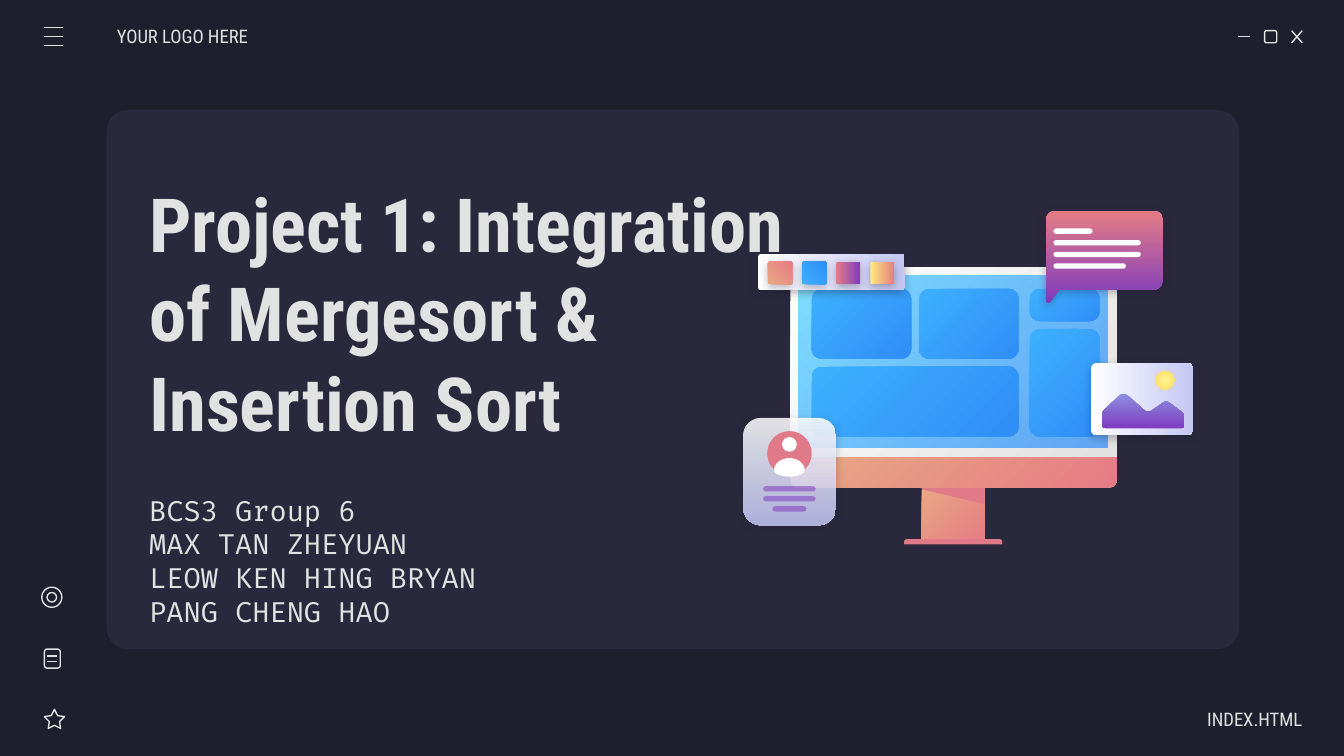
from math import cos, pi, sin

from lxml.etree import SubElement
from pptx import Presentation
from pptx.dml.color import RGBColor
from pptx.enum.shapes import MSO_CONNECTOR, MSO_SHAPE as SHAPE
from pptx.enum.text import MSO_ANCHOR, PP_ALIGN as ALIGN
from pptx.oxml.ns import qn
from pptx.util import Cm, Pt

C = {
    "bg": "1E1E2C", "panel": "29283D", "text": "E2E2E2", "white": "FFFFFF",
    "lilac": "C5C7F4", "rose": "E07A88", "coral": "E57C85", "peach": "E9A984",
    "purple": "7E3BBE", "violet": "8D90E1", "sky": "80DFFF", "azure": "318FFA",
    "blue1": "3DB0FD", "blue2": "308EF7", "sun1": "FFF68E", "sun2": "FFD966",
    "yellow": "FFEA7D",
}
ROUND, TOP_ROUND, OVAL = SHAPE.ROUNDED_RECTANGLE, SHAPE.ROUND_2_SAME_RECTANGLE, SHAPE.OVAL

prs = Presentation()
prs.slide_width, prs.slide_height = Cm(25.4), Cm(14.29)
s = prs.slides.add_slide(prs.slide_layouts[6])
s.background.fill.solid()
s.background.fill.fore_color.rgb = RGBColor.from_string(C["bg"])


def draw(kind, geo, fill=(), adj=(), angle=45, alpha=None, shadow=False, rot=0):
    """Add a preset (geo is a box) or, without a kind, an outline (geo is points).

    No colour gives a thin outline, one a plain fill, two a gradient.
    """
    if kind is None:
        pts = [(Cm(x), Cm(y)) for x, y in geo]
        fb = s.shapes.build_freeform(*pts[0], scale=1.0)
        fb.add_line_segments(pts[1:], close=True)
        sp = fb.convert_to_shape()
    else:
        sp = s.shapes.add_shape(kind, *[Cm(v) for v in geo])
        for i, value in enumerate(adj):
            sp.adjustments[i] = value
    sp.rotation = rot
    if len(fill) == 2:
        sp.fill.gradient()
        sp.fill.gradient_angle = 360 - angle
        for stop, name in zip(sp.fill.gradient_stops, fill):
            stop.color.rgb = RGBColor.from_string(C[name])
    elif fill:
        sp.fill.solid()
        sp.fill.fore_color.rgb = RGBColor.from_string(C[fill[0]])
    else:
        sp.fill.background()
    if fill:
        sp.line.fill.background()
    else:
        sp.line.color.rgb = RGBColor.from_string(C["text"])
        sp.line.width = Pt(0.75)
    spPr = sp._element.spPr
    if alpha:
        colours = list(spPr.iter(qn("a:srgbClr")))
        for clr, pct in zip(colours[-len(alpha):], alpha):
            SubElement(clr, qn("a:alpha"), val=str(pct * 1000))
    sp.shadow.inherit = False
    if shadow:
        sh = SubElement(spPr.find(qn("a:effectLst")), qn("a:outerShdw"), blurRad=str(Pt(4.5)),
                        dist=str(Pt(1.5)), dir="5400000", algn="bl", rotWithShape="0")
        clr = SubElement(sh, qn("a:srgbClr"), val=C["bg"])
        SubElement(clr, qn("a:alpha"), val="30000")
    return sp


def line(x1, y1, x2, y2):
    cn = s.shapes.add_connector(MSO_CONNECTOR.STRAIGHT, Cm(x1), Cm(y1), Cm(x2), Cm(y2))
    cn.line.color.rgb = RGBColor.from_string(C["text"])
    cn.line.width = Pt(0.75)
    SubElement(cn._element.spPr, qn("a:effectLst"))


# Panel and window controls
draw(ROUND, (2.01, 2.08, 21.41, 10.19), ["panel"], [0.04])
line(23.39, 0.69, 23.62, 0.69)
draw(ROUND, (23.9, 0.58, 0.23, 0.23), adj=[0.167])
line(24.41, 0.58, 24.61, 0.81)
line(24.61, 0.58, 24.41, 0.81)

# Texts: box, lines, size, font, bold, alignment, left and right inset
names = ["BCS3 Group 6", "MAX TAN ZHEYUAN", "LEOW KEN HING BRYAN", "PANG CHENG HAO"]
title = "Project 1: Integration of Mergesort & Insertion Sort"
for box, lines, size, font, bold, align, left, right in [
    ((2.57, 10.01, 8.23, 1.17), names, 15, "Fira Code", False, ALIGN.LEFT, 0.25, 0.25),
    ((2.21, 0.3, 2.97, 0.76), ["YOUR LOGO HERE"], 10, "Roboto Condensed", False,
     ALIGN.LEFT, 0, 0.25),
    ((2.57, 3.66, 12.83, 4.47), [title], 40, "Roboto Condensed", True, ALIGN.LEFT, 0.25, 0.25),
    ((21.64, 13.21, 2.97, 0.76), ["INDEX.HTML"], 10, "Roboto Condensed", False,
     ALIGN.RIGHT, 0.25, 0),
]:
    tf = s.shapes.add_textbox(*[Cm(v) for v in box]).text_frame
    tf.word_wrap = True
    tf.vertical_anchor = MSO_ANCHOR.MIDDLE
    tf.margin_left, tf.margin_right = Cm(left), Cm(right)
    tf.margin_top = tf.margin_bottom = Cm(0.25)
    for i, text in enumerate(lines):
        p = tf.paragraphs[0] if i == 0 else tf.add_paragraph()
        p.alignment = align
        r = p.add_run()
        r.text = text
        r.font.size, r.font.name, r.font.bold = Pt(size), font, bold
        r.font.color.rgb = RGBColor.from_string(C["text"])

# Monitor: stand, base, neck shade, chin, frame, screen
draw(SHAPE.RECTANGLE, (17.42, 9.17, 1.19, 1.09), ["peach", "coral"])
draw(TOP_ROUND, (17.09, 10.19, 1.85, 0.1), ["rose"], [0.5, 0])
draw(None, [(17.42, 9.17), (17.42, 9.25), (18.61, 9.53), (18.61, 9.17)], ["rose"])
draw(TOP_ROUND, (14.94, 8.61, 6.17, 0.61), ["peach", "coral"], [0, 0.25])
draw(TOP_ROUND, (14.94, 5.05, 6.17, 3.58), ["white", "text"], [0.04, 0])
draw(SHAPE.RECTANGLE, (15.09, 5.21, 5.84, 3.25), ["sky", "azure"], alpha=[100, 72])
for x, y, w, h in [(15.34, 5.46, 1.88, 1.32), (15.34, 6.93, 3.91, 1.32),
                   (17.37, 5.46, 1.88, 1.32), (19.46, 5.46, 1.32, 0.61),
                   (19.46, 6.22, 1.32, 2.03)]:
    draw(ROUND, (x, y, w, h), ["blue1", "blue2"], [0.19 / min(w, h)])

# Speech bubble: tail, then the corners clockwise from top left
bubble = [(20.02, 5.47), (19.84, 5.71), (19.81, 5.72), (19.77, 5.69)]
for cx, cy, start in [(19.94, 4.15, 180), (21.81, 4.15, 270), (21.81, 5.3, 0)]:
    for step in range(0, 91, 15):
        a = (start + step) * pi / 180
        bubble.append((cx + 0.17 * cos(a), cy + 0.17 * sin(a)))
draw(None, bubble, ["coral", "purple"], angle=90, shadow=True)
for i, w in enumerate([0.74, 1.65, 1.65, 1.37]):
    draw(ROUND, (19.91, 4.32 + 0.22 * i, w, 0.1), ["white"], [0.5])

# Menu icon
for i in range(3):
    line(0.84, 0.52 + 0.17 * i, 1.19, 0.52 + 0.17 * i)

# Profile card
draw(ROUND, (14.05, 7.9, 1.75, 2.03), ["white", "lilac"], [0.187], 90, [86, 86], True)
draw(OVAL, (14.5, 8.15, 0.84, 0.84), ["rose"])
draw(OVAL, (14.78, 8.26, 0.28, 0.28), ["white"])
shoulders = []
for step in range(0, 360, 10):
    a = step * pi / 180
    shoulders.append((14.92 + 0.29 * cos(a), 8.89 + (0.12 if step < 180 else 0.23) * sin(a)))
draw(None, shoulders, ["white"])
for i, w in enumerate([0.99, 0.99, 0.64]):
    draw(ROUND, (14.92 - w / 2, 9.19 + 0.19 * i, w, 0.1), ["purple"], [0.5], alpha=[54])

# Photo card with hills and sun
draw(ROUND, (20.9, 6.58, 1.37, 1.93), ["white", "lilac"], [0.073], 90, shadow=True, rot=270)
hills = [(20.83, 8.03), (20.83, 7.82), (20.85, 7.77), (21.16, 7.47), (21.2, 7.45),
         (21.23, 7.44), (21.27, 7.45), (21.31, 7.47), (21.62, 7.75), (21.65, 7.77),
         (21.69, 7.78), (21.73, 7.78), (21.77, 7.76), (21.97, 7.62), (22.02, 7.59),
         (22.06, 7.59), (22.1, 7.61), (22.35, 7.8), (22.38, 7.85), (22.38, 8.03),
         (22.36, 8.08), (22.32, 8.1), (20.9, 8.1), (20.85, 8.08)]
draw(None, hills, ["violet", "purple"], angle=90)
sun = draw(OVAL, (21.84, 7.01, 0.36, 0.36), ["sun1", "sun2"])
grad = sun._element.spPr.find(qn("a:gradFill"))
grad.remove(grad.find(qn("a:lin")))
radial = SubElement(grad, qn("a:path"), path="circle")
SubElement(radial, qn("a:fillToRect"), l="50000", t="50000", r="50000", b="50000")

# Palette strip
draw(ROUND, (15.37, 3.76, 0.69, 2.77), ["white", "lilac"], [0.073], 90, shadow=True, rot=270)
for i, (first, last, angle) in enumerate([("peach", "coral", 45), ("blue1", "blue2", 45),
                                          ("coral", "purple", 90), ("yellow", "coral", 90)]):
    draw(ROUND, (14.53 + 0.645 * i, 4.93, 0.43, 0.46), [first, last], [0.073], angle,
         shadow=True, rot=270)

# Sidebar icons: star, document, target
draw(SHAPE.STAR_5_POINT, (0.84, 13.41, 0.38, 0.36), adj=[0.254, 1.051, 1.106])
draw(ROUND, (0.84, 12.27, 0.3, 0.36), adj=[0.167])
for y in (12.4, 12.5):
    line(0.89, y, 1.07, y)
draw(OVAL, (0.79, 11.1, 0.38, 0.38))
draw(OVAL, (0.89, 11.2, 0.18, 0.18))

prs.save("out.pptx")
